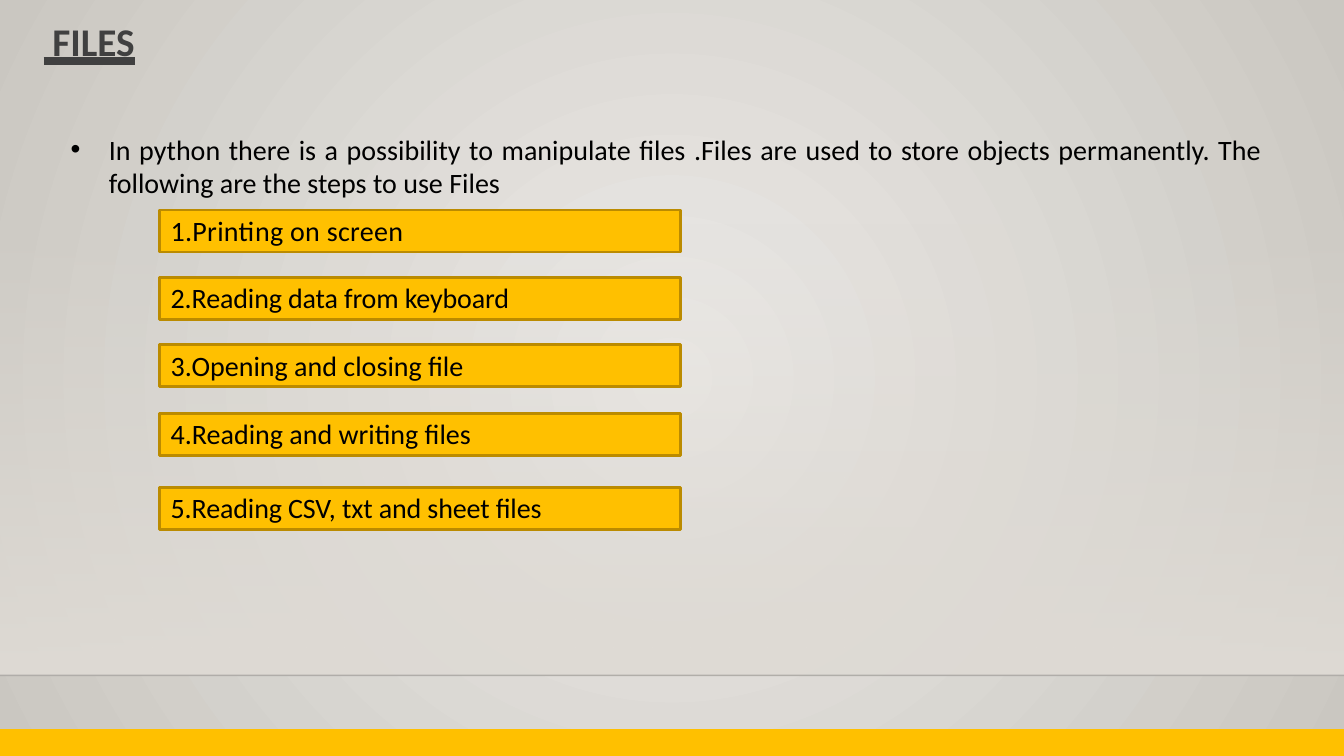
from dataclasses import dataclass

from lxml.etree import SubElement
from pptx import Presentation
from pptx.dml.color import RGBColor
from pptx.enum.shapes import MSO_CONNECTOR as Link, MSO_SHAPE as Kind
from pptx.enum.text import (MSO_ANCHOR as Anchor, MSO_UNDERLINE as Under,
                            PP_ALIGN as Align)
from pptx.oxml.ns import qn
from pptx.util import Inches, Pt

COLS, ROWS = 160, 90
WIDE, HIGH = Inches(13.33), Inches(7.5)
GOLD, EDGE, SAND = "FFC000", "BB8B00", "DFDBD5"


@dataclass
class Step:
    row: float
    text: str
    track: float = 0


STEPS = [
    Step(25, "1.Printing on screen", 0.2),
    Step(33, "2.Reading data from keyboard", -0.1),
    Step(41, "3.Opening and closing file"),
    Step(49.2, "4.Reading and writing files"),
    Step(58, "5.Reading CSV, txt and sheet files", -0.1),
]
INTRO = ("In python there is a possibility to manipulate files .Files are used "
         "to store objects permanently. The following are the steps to use Files")


def tint(code: str) -> RGBColor:
    return RGBColor.from_string(code)


def area(col: float, row: float, cols: float, rows: float) -> tuple:
    """Turn grid cells into left, top, width and height."""
    x, y = WIDE / COLS, HIGH / ROWS
    return int(col * x), int(row * y), int(cols * x), int(rows * y)


def fade(node, share: int) -> None:
    """Set the opacity of a colour node, in percent."""
    SubElement(node, qn("a:alpha")).set("val", str(share * 1000))


def blend(fill, first: str, last: str) -> None:
    fill.gradient()
    for stop, code in zip(fill.gradient_stops, (first, last)):
        stop.color.rgb = tint(code)


def block(slide, spot: tuple, code: str, edge: str = ""):
    shape = slide.shapes.add_shape(Kind.RECTANGLE, *spot)
    shape.shadow.inherit = False
    shape.fill.solid()
    shape.fill.fore_color.rgb = tint(code)
    if edge:
        shape.line.color.rgb = tint(edge)
        shape.line.width = Pt(2)
    else:
        shape.line.fill.background()
    return shape


def write(shape, text: str, *, size: float = 20, code: str = "000000",
          bold: bool = False, under=False, track: float = 0,
          lead=1.02, align=Align.LEFT, left: float = 0, top: float = 0.02):
    """Fill a shape with one paragraph and return that paragraph."""
    frame = shape.text_frame
    frame.word_wrap = True
    frame.vertical_anchor = Anchor.TOP
    frame.margin_left, frame.margin_top = Inches(left), Inches(top)
    frame.margin_right = frame.margin_bottom = 0
    para = frame.paragraphs[0]
    para.alignment, para.line_spacing = align, lead
    run = para.add_run()
    run.text = text
    font = run.font
    font.name, font.size, font.bold = "Calibri", Pt(size), bold
    font.underline = under
    font.color.rgb = tint(code)
    if track:
        run._r.get_or_add_rPr().set("spc", str(round(track * 100)))
    return para


def bullet(para, hang: float) -> None:
    props = para._p.get_or_add_pPr()
    props.set("marL", str(Inches(hang)))
    props.set("indent", str(-Inches(hang)))
    SubElement(props, qn("a:buFont")).set("typeface", "Arial")
    SubElement(props, qn("a:buChar")).set("char", "•")


def backdrop(slide) -> None:
    fill = slide.background.fill
    blend(fill, "ECEAE7", "CAC7C1")
    grad = next(slide._element.iter(qn("a:gradFill")))
    grad.remove(grad.find(qn("a:lin")))
    ring = SubElement(grad, qn("a:path"))
    ring.set("path", "circle")
    core = SubElement(ring, qn("a:fillToRect"))
    for side in "ltrb":
        core.set(side, "50000")


def floor(slide) -> None:
    """Draw the fading wall, the thin rule and the gold strip."""
    wall = block(slide, area(0, 26.5, COLS, 53.9), SAND)
    blend(wall.fill, SAND, SAND)
    wall.fill.gradient_angle = 270
    fade(next(wall._element.iter(qn("a:srgbClr"))), 0)

    left, top, width, _ = area(0, 80.4, COLS, 0)
    rule = slide.shapes.add_connector(Link.STRAIGHT, left, top, width, top)
    rule.line.color.rgb = tint("000001")
    rule.line.width = Pt(1)
    fade(next(rule._element.iter(qn("a:srgbClr"))), 20)
    SubElement(rule._element.spPr, qn("a:effectLst"))

    block(slide, area(0, 86.8, COLS, 3.2), GOLD)


def main() -> None:
    deck = Presentation()
    deck.slide_width, deck.slide_height = WIDE, HIGH
    slide = deck.slides.add_slide(deck.slide_layouts[6])
    backdrop(slide)
    floor(slide)

    title = slide.shapes.add_textbox(*area(5.2, 2.64, 16, 5))
    write(title, " FILES", size=28, code="404040", bold=True,
          under=Under.HEAVY_LINE, lead=Pt(28.9))

    intro = slide.shapes.add_textbox(*area(8.4, 15.6, 141.8, 8.2))
    para = write(intro, INTRO, lead=Pt(24), align=Align.JUSTIFY, top=0.01)
    bullet(para, 0.38)

    for step in STEPS:
        bar = block(slide, area(19, step.row, 62, 5), GOLD, EDGE)
        write(bar, step.text, track=step.track, left=0.11, top=0.03)

    deck.save("out.pptx")


if __name__ == "__main__":
    main()
